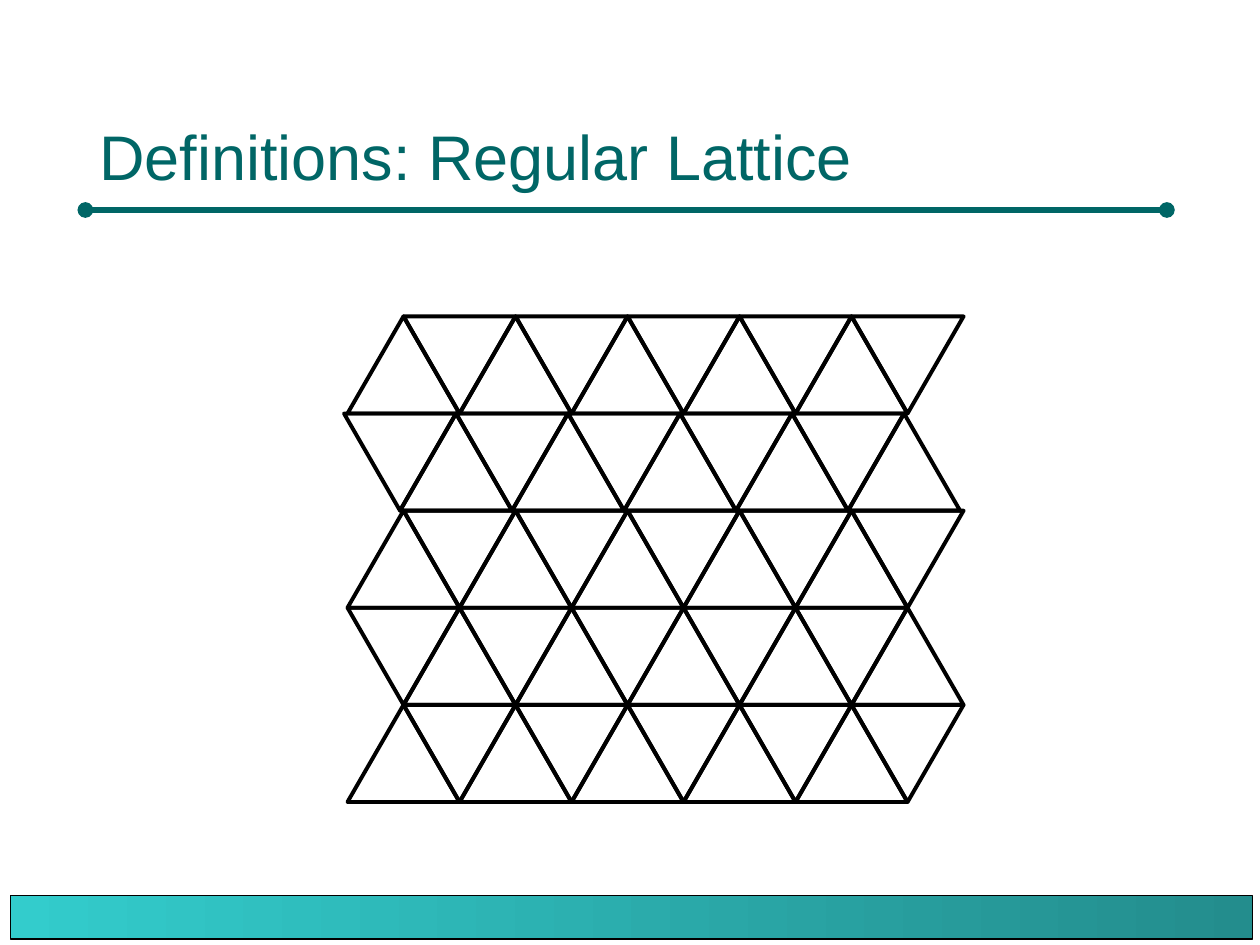
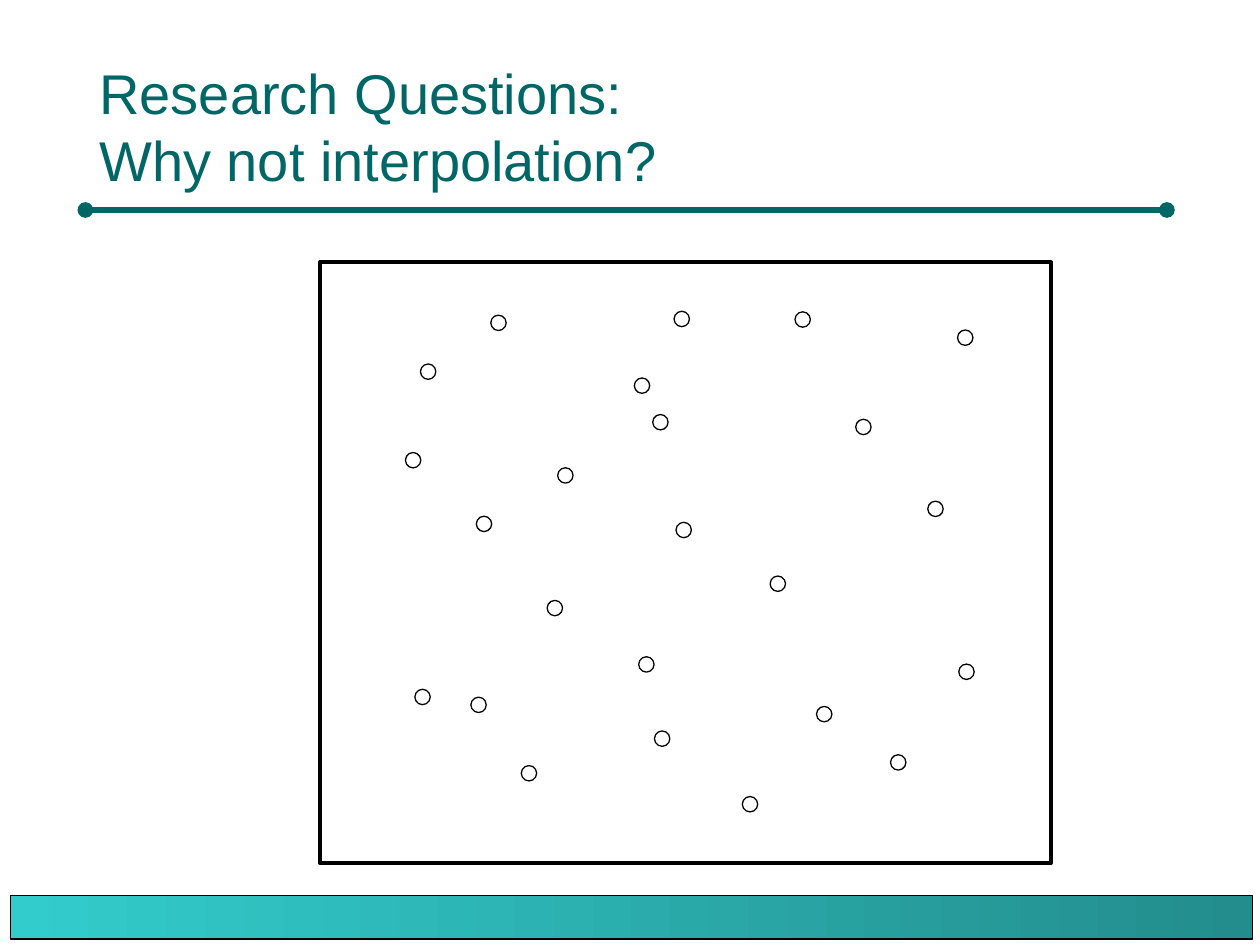
from lxml.etree import SubElement
from pptx import Presentation
from pptx.dml.color import RGBColor
from pptx.enum.shapes import MSO_CONNECTOR as Connector, MSO_SHAPE as Shape
from pptx.enum.text import MSO_ANCHOR as Anchor
from pptx.oxml.ns import qn
from pptx.util import Pt

TEAL = RGBColor(0x00, 0x66, 0x66)
BAND_DARK = RGBColor(0x23, 0x8D, 0x8D)
BAND_LIGHT = RGBColor(0x33, 0xCC, 0xCC)
BLACK = RGBColor(0x00, 0x00, 0x00)
FONT = "Arial"


def add_outline(shapes, kind, left, top, width, height, weight):
    """Add an unfilled preset shape with a black line."""
    shape = shapes.add_shape(kind, Pt(left), Pt(top), Pt(width), Pt(height))
    shape.shadow.inherit = False
    shape.fill.background()
    shape.line.color.rgb = BLACK
    shape.line.width = Pt(weight)
    return shape


def add_page(deck, title, size):
    """Add a slide with the title, the rule under it and the bottom band."""
    page = deck.slides.add_slide(deck.slide_layouts[6])

    rule = page.shapes.add_connector(
        Connector.STRAIGHT, Pt(48.8), Pt(120), Pt(666.8), Pt(120))
    rule.line.color.rgb = TEAL
    rule.line.width = Pt(3)
    for end in ("a:headEnd", "a:tailEnd"):
        SubElement(rule.line._get_or_add_ln(), qn(end), type="oval")
    SubElement(rule._element.spPr, qn("a:effectLst"))

    band = add_outline(page.shapes, Shape.RECTANGLE, 6, 511.7, 709.7, 24.9, 0.75)
    band.fill.gradient()
    band.fill.gradient_angle = 180
    for stop, color in zip(band.fill.gradient_stops, (BAND_DARK, BAND_LIGHT)):
        stop.color.rgb = color

    box = page.shapes.add_textbox(Pt(49.7), Pt(23.8), Pt(617.8), Pt(90))
    frame = box.text_frame
    frame.word_wrap = True
    frame.vertical_anchor = Anchor.BOTTOM
    frame.text = title
    font = frame.paragraphs[0].font
    font.name = FONT
    font.size = Pt(size)
    font.color.rgb = TEAL
    for span in frame.paragraphs[0].runs:
        span.font.name = FONT
        span.font.size = Pt(size)
        span.font.color.rgb = TEAL
    return page


deck = Presentation()
deck.slide_width, deck.slide_height = Pt(720), Pt(540)

# Regular lattice: rows of triangles that point up and down in turn
page = add_page(deck, "Definitions: Regular Lattice", 36)
ROWS, COLUMNS = 5, 10
SIDE, ROW_HEIGHT = 64, 55.5
LATTICE_TOP = 180.8
ROW_LEFTS = (198.6, 196.6, 198.6, 198.6, 198.6)
lattice = page.shapes.add_group_shape()
for row in range(ROWS):
    for column in range(COLUMNS):
        triangle = add_outline(
            lattice.shapes, Shape.ISOSCELES_TRIANGLE,
            ROW_LEFTS[row] + column * SIDE / 2, LATTICE_TOP + row * ROW_HEIGHT,
            SIDE, ROW_HEIGHT, 2.25)
        if (row + column) % 2:
            triangle.rotation = 180

# Scattered sample points inside a frame
page = add_page(deck, "Research Questions:\vWhy not interpolation?", 32)
POINT_SIZE = 8.8
SAMPLE_POINTS = (
    (373, 236.9), (385.2, 177.9), (280.5, 180.1), (547.2, 188.6),
    (362.5, 216), (365, 375.3), (508.9, 431.3), (489, 239.6),
    (318.7, 267.3), (240.3, 208), (386.3, 298.5), (231.7, 258.6),
    (424.2, 455.2), (454.3, 178.2), (312.7, 343.1), (466.6, 403.7),
    (440.1, 329.2), (374, 417.7), (547.9, 379.5), (530.2, 286.4),
    (272.2, 295), (297.9, 437.5), (269.1, 398.4), (237.1, 393.9),
)
sample = page.shapes.add_group_shape()
add_outline(sample.shapes, Shape.RECTANGLE, 182.8, 149.9, 417.8, 343.3, 2.25)
for left, top in SAMPLE_POINTS:
    add_outline(sample.shapes, Shape.OVAL, left, top, POINT_SIZE, POINT_SIZE, 0.75)

deck.save("out.pptx")
